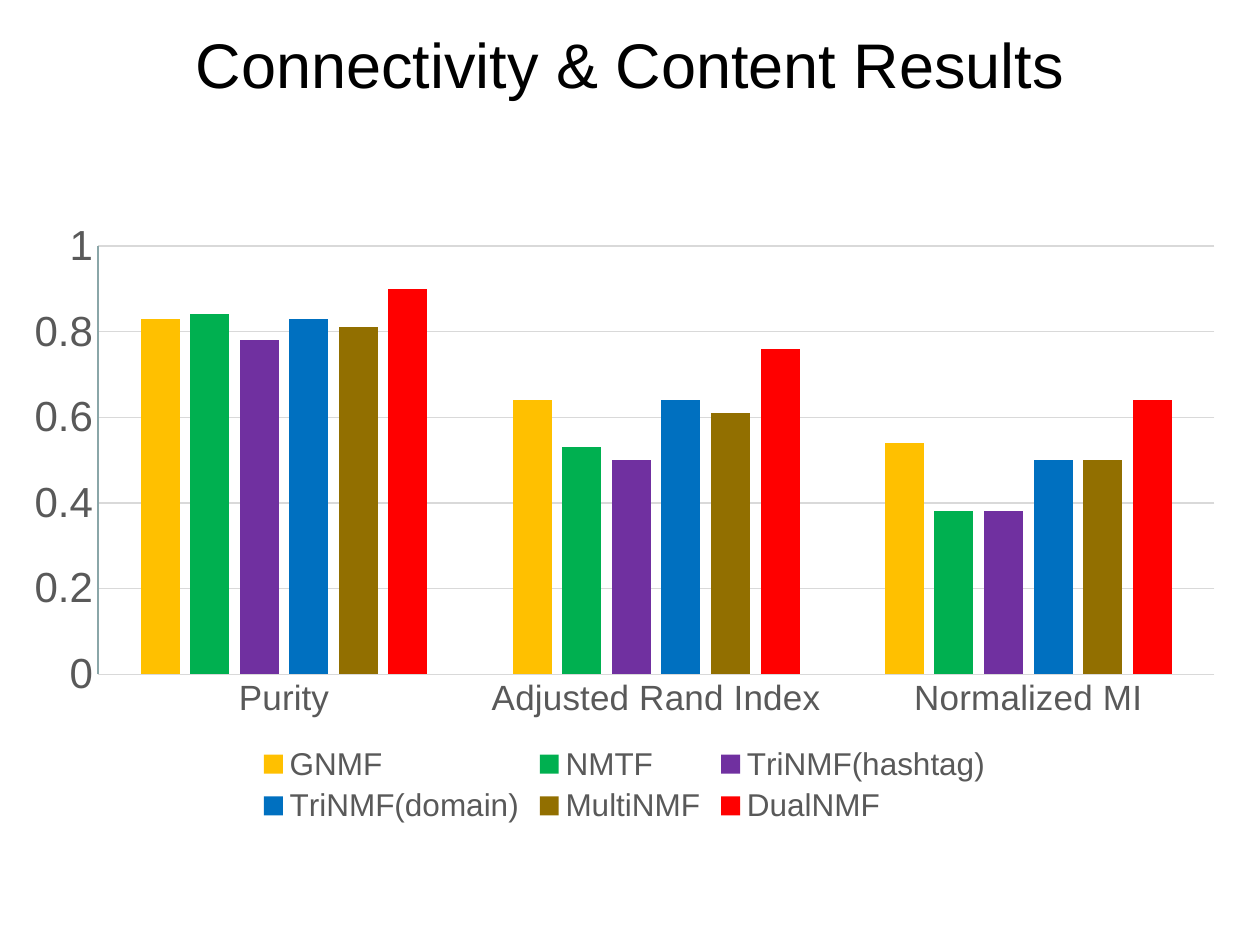
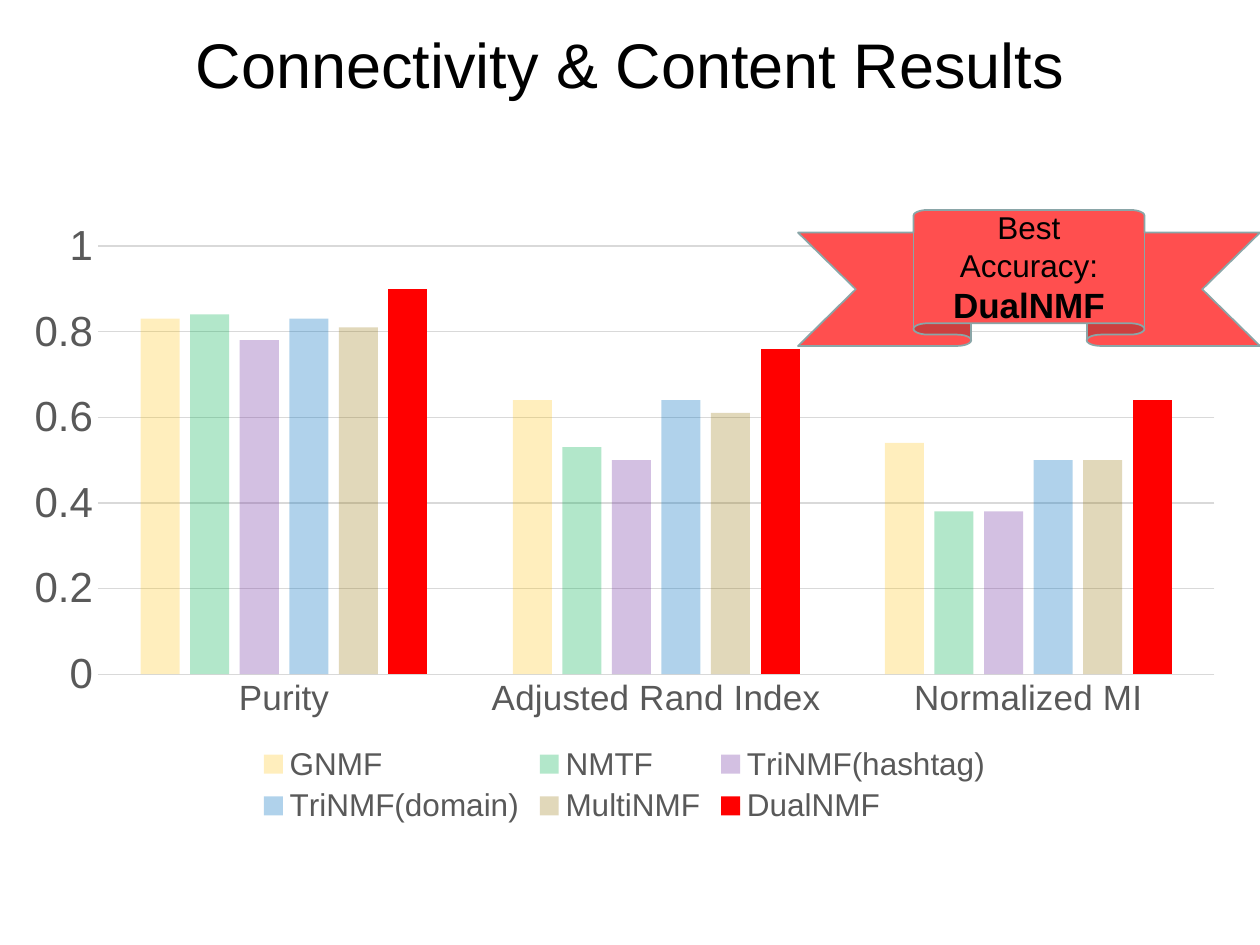
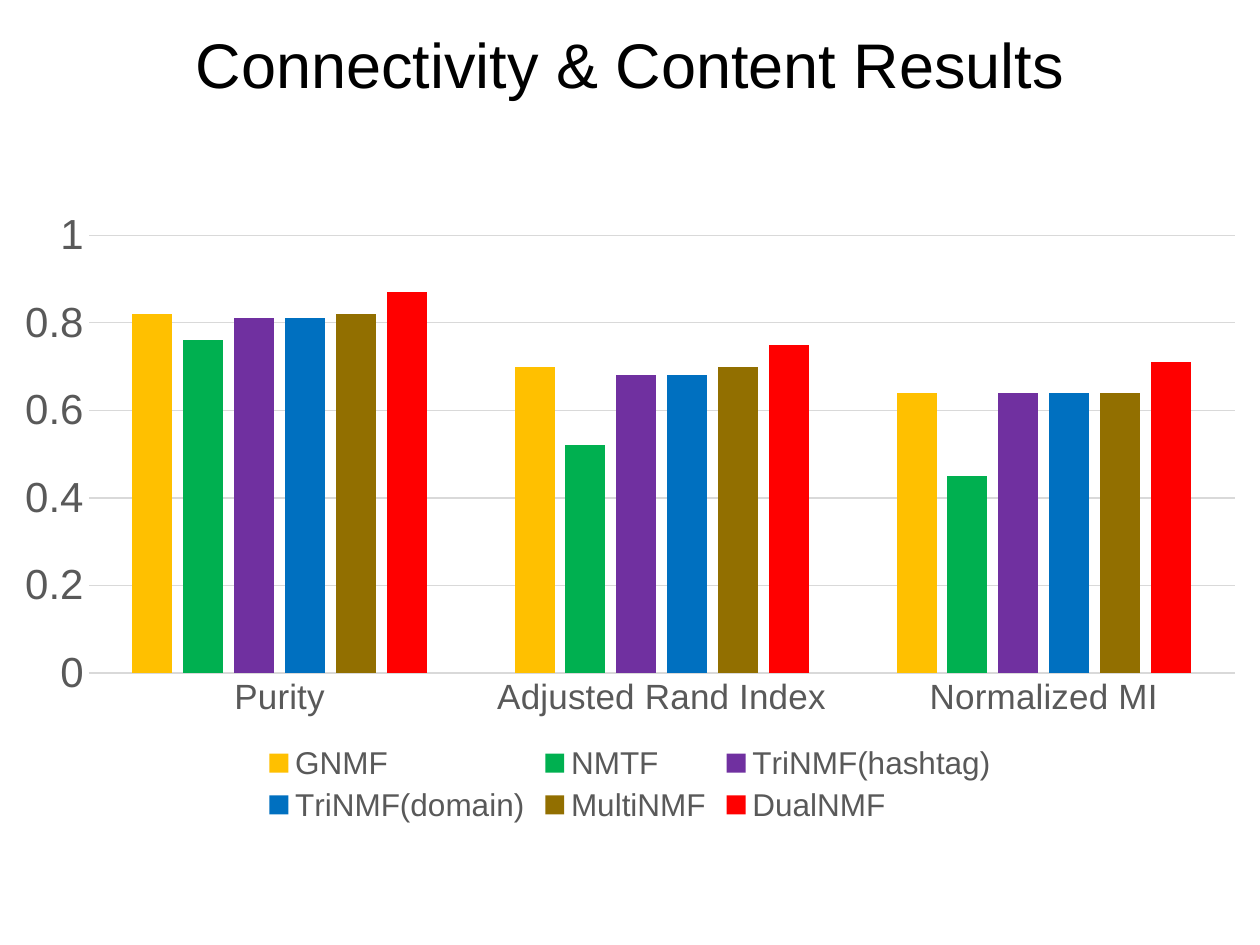
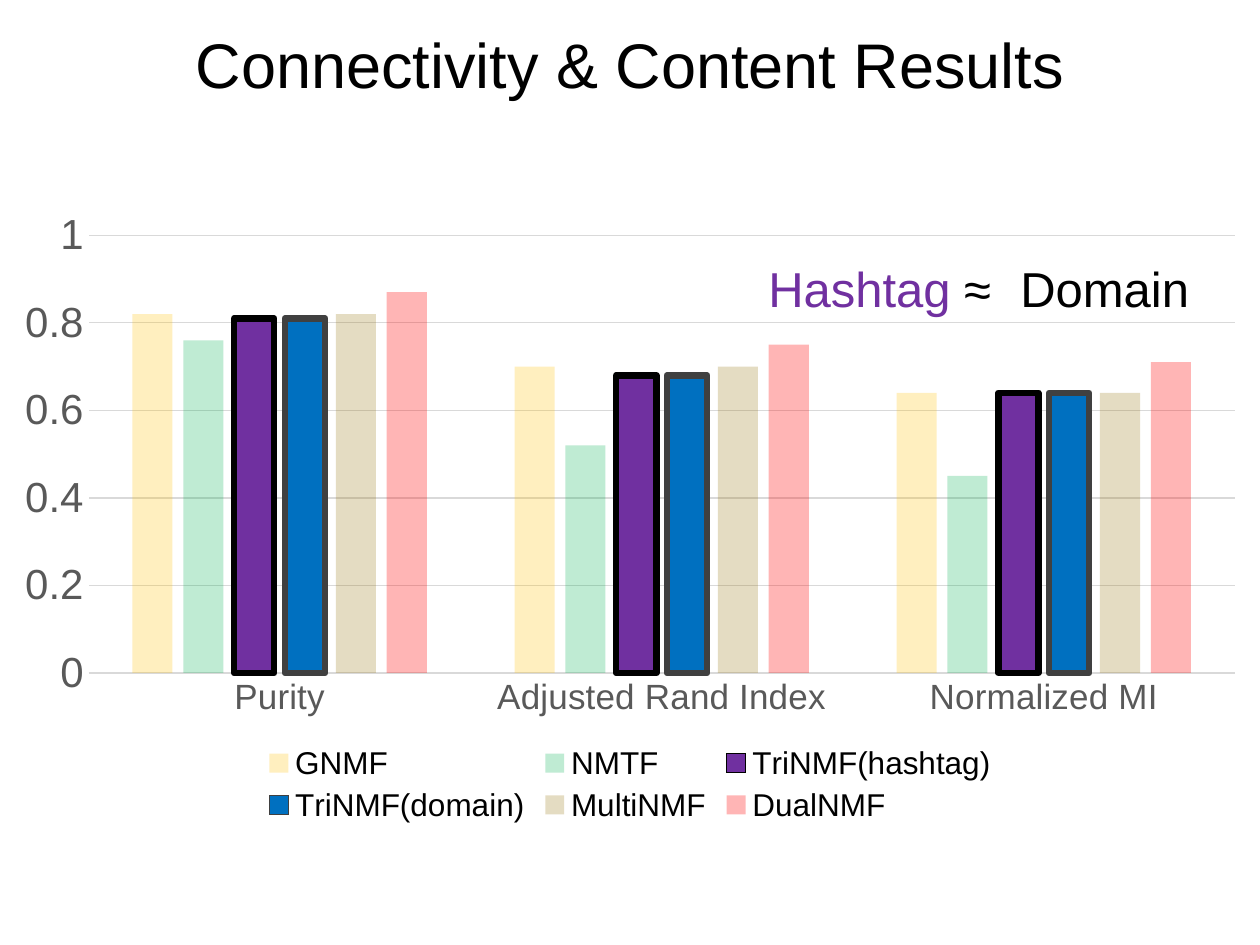
from lxml import etree
from pptx import Presentation
from pptx import util as u
from pptx.chart.data import CategoryChartData
from pptx.dml.color import RGBColor
from pptx.enum import chart as ch, shapes, text
from pptx.oxml.ns import qn

TITLE = "Connectivity & Content Results"
FACE = "Arial"
SCALE = 914400 / 126
PAGE = (1260, 945)
HEAD = (63, 0, 1134, 126)

HEX = {
    "black": "000000", "gray": "595959", "dark": "404040", "grid": "D9D9D9",
    "teal": "8AA6A8", "coral": "FF4F4F", "gold": "FFC000", "green": "00B050",
    "purple": "7030A0", "blue": "0070C0", "brown": "926F00", "red": "FF0000",
}

CATS = ["Purity", "Adjusted Rand Index", "Normalized MI"]
SERIES = [
    ("GNMF", "gold"), ("NMTF", "green"), ("TriNMF(hashtag)", "purple"),
    ("TriNMF(domain)", "blue"), ("MultiNMF", "brown"), ("DualNMF", "red"),
]
FIRST = {
    "box": (10, 210, 1229, 620),
    "rows": [(.83, .64, .54), (.84, .53, .38), (.78, .5, .38),
             (.83, .64, .5), (.81, .61, .5), (.9, .76, .64)],
}
SECOND = {
    "box": (0, 199, 1260, 630),
    "rows": [(.82, .7, .64), (.76, .52, .45), (.81, .68, .64),
             (.81, .68, .64), (.82, .7, .64), (.87, .75, .71)],
}

# alpha: opacity in percent by series; edge: outline colour by series
SLIDES = [
    {"data": FIRST, "axis": "teal"},
    {"data": FIRST,
     "alpha": {"GNMF": 26, "NMTF": 30, "TriNMF(hashtag)": 30,
               "TriNMF(domain)": 31, "MultiNMF": 27},
     "ribbon": {"box": (798, 210, 462, 136),
                "runs": [("Best Accuracy: ", {"size": 18}),
                         ("DualNMF", {"size": 20, "bold": True})]}},
    {"data": SECOND},
    {"data": SECOND, "legend": "black",
     "alpha": {"GNMF": 25, "NMTF": 25, "MultiNMF": 24, "DualNMF": 29},
     "edge": {"TriNMF(hashtag)": "black", "TriNMF(domain)": "dark"},
     "notes": [
         {"box": (756, 252, 252, 72), "wrap": True,
          "runs": [("Hashtag ", {"size": 28, "color": "purple"}),
                   ("≈", {"size": 28})]},
         {"box": (1008, 252, 197, 72), "wrap": False,
          "runs": [("Domain", {"size": 28})]}]},
]


def emu(box):
    return [u.Emu(round(n * SCALE)) for n in box]


def rgb(name):
    return RGBColor.from_string(HEX[name])


def style(font, size, color="black", **rest):
    form = {"name": FACE, "size": u.Pt(size), **rest}
    for key, val in form.items():
        setattr(font, key, val)
    font.color.rgb = rgb(color)


def stroke(line, color, width=.75):
    line.color.rgb = rgb(color)
    line.width = u.Pt(width)


def write(para, runs):
    for words, form in runs:
        run = para.add_run()
        run.text = words
        style(run.font, **form)


def add_title(slide):
    head = slide.shapes.title
    head.left, head.top, head.width, head.height = emu(HEAD)
    head.text_frame.vertical_anchor = text.MSO_ANCHOR.MIDDLE
    para = head.text_frame.paragraphs[0]
    para.alignment = text.PP_ALIGN.CENTER
    write(para, [(TITLE, {"size": 36})])


def paint(bar, color, alpha, edge):
    """Fill one series, with opacity and an outline where given."""
    bar.invert_if_negative = False
    bar.format.fill.solid()
    bar.format.fill.fore_color.rgb = rgb(color)
    if alpha:
        clr = bar._element.find(".//" + qn("a:srgbClr"))
        etree.SubElement(clr, qn("a:alpha"), val=str(alpha * 1000))
    if edge:
        stroke(bar.format.line, edge, 3.75)
    else:
        bar.format.line.fill.background()


def set_axes(chart, color):
    cat, val = chart.category_axis, chart.value_axis
    for axis, size in ((cat, 20), (val, 24)):
        axis.major_tick_mark = axis.minor_tick_mark = ch.XL_TICK_MARK.NONE
        style(axis.tick_labels.font, size, "gray")
    stroke(cat.format.line, "grid")
    form = {"minimum_scale": 0, "maximum_scale": 1, "major_unit": .2,
            "has_major_gridlines": True}
    for key, num in form.items():
        setattr(val, key, num)
    val.tick_labels.number_format = "General"
    val.tick_labels.number_format_is_linked = False
    stroke(val.major_gridlines.format.line, "grid")
    if color:
        stroke(val.format.line, color)
    else:
        val.format.line.fill.background()


def add_bars(slide, page):
    data = CategoryChartData()
    data.categories = CATS
    for (name, _), row in zip(SERIES, page["data"]["rows"]):
        data.add_series(name, row)
    chart = slide.shapes.add_chart(
        ch.XL_CHART_TYPE.COLUMN_CLUSTERED, *emu(page["data"]["box"]), data).chart
    chart.has_title = False
    style(chart.font, 10)
    plot = chart.plots[0]
    plot.gap_width, plot.overlap, plot.vary_by_categories = 219, -27, False
    for bar, (name, color) in zip(plot.series, SERIES):
        paint(bar, color, page.get("alpha", {}).get(name),
              page.get("edge", {}).get(name))
    set_axes(chart, page.get("axis"))
    chart.has_legend = True
    chart.legend.position = ch.XL_LEGEND_POSITION.BOTTOM
    chart.legend.include_in_layout = False
    style(chart.legend.font, 18, page.get("legend", "gray"))


def add_ribbon(slide, box, runs):
    shape = slide.shapes.add_shape(shapes.MSO_SHAPE.UP_RIBBON, *emu(box))
    shape.shadow.inherit = False
    shape.fill.solid()
    shape.fill.fore_color.rgb = rgb("coral")
    stroke(shape.line, "teal", 1)
    frame = shape.text_frame
    frame.word_wrap = True
    frame.vertical_anchor = text.MSO_ANCHOR.MIDDLE
    frame.paragraphs[0].alignment = text.PP_ALIGN.CENTER
    write(frame.paragraphs[0], runs)


def add_note(slide, box, runs, wrap):
    frame = slide.shapes.add_textbox(*emu(box)).text_frame
    frame.word_wrap = wrap
    frame.auto_size = text.MSO_AUTO_SIZE.SHAPE_TO_FIT_TEXT
    write(frame.paragraphs[0], runs)


def main():
    deck = Presentation()
    deck.slide_width, deck.slide_height = emu(PAGE)
    for page in SLIDES:
        slide = deck.slides.add_slide(deck.slide_layouts[5])
        add_title(slide)
        add_bars(slide, page)
        if "ribbon" in page:
            add_ribbon(slide, **page["ribbon"])
        for note in page.get("notes", []):
            add_note(slide, **note)
    deck.save("out.pptx")


if __name__ == "__main__":
    main()
